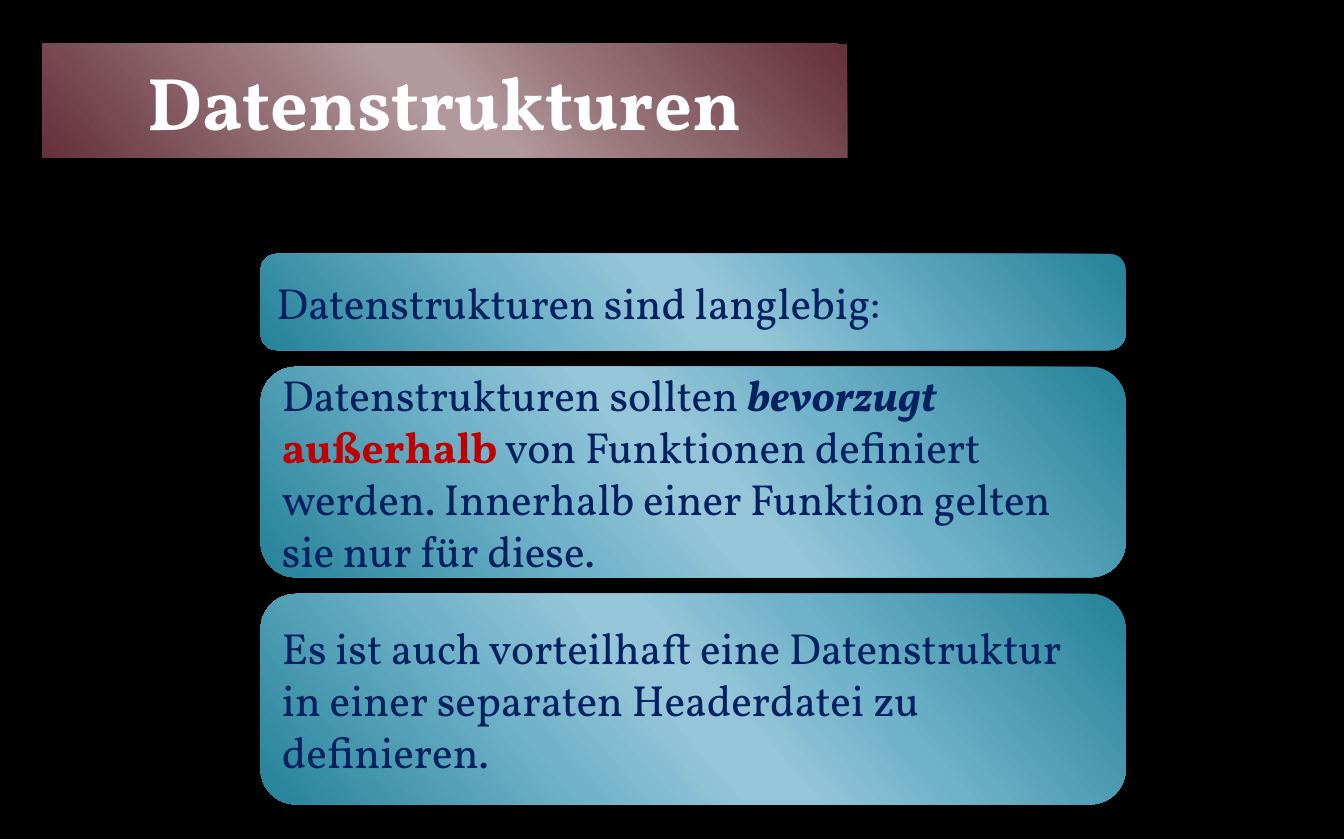
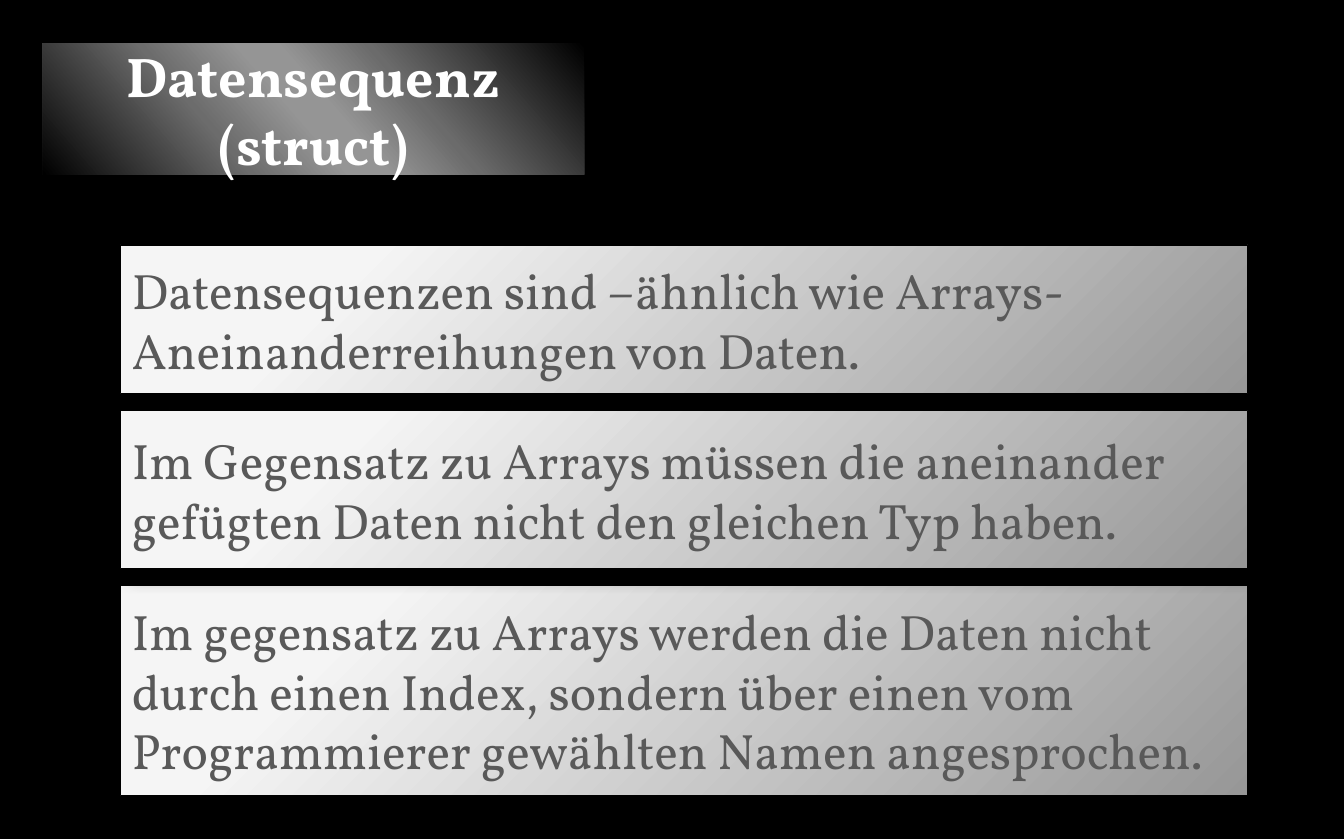
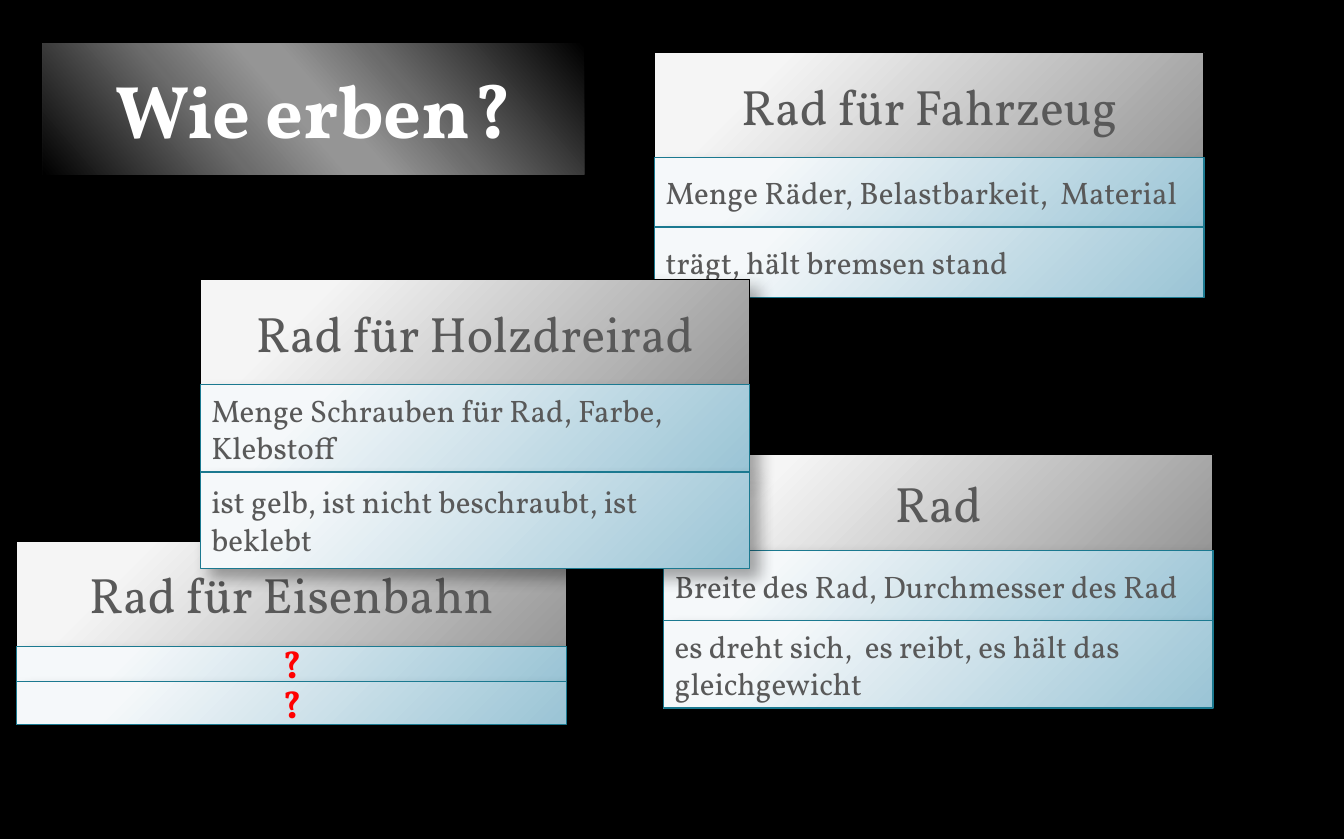
from dataclasses import dataclass

from lxml import etree
from pptx import Presentation
from pptx.dml.color import RGBColor
from pptx.enum.shapes import MSO_SHAPE
from pptx.enum.text import MSO_ANCHOR, MSO_AUTO_SIZE, PP_ALIGN
from pptx.oxml.ns import qn
from pptx.util import Inches, Pt

RECT, ROUND = MSO_SHAPE.RECTANGLE, MSO_SHAPE.ROUNDED_RECTANGLE
LEFT, CENTER = PP_ALIGN.LEFT, PP_ALIGN.CENTER
MIDDLE, NO_FIT = MSO_ANCHOR.MIDDLE, MSO_AUTO_SIZE.NONE
TITLE_ONLY = 5


def band(edge, inner, core, outer):
    """Stops of a diagonal sheen that is lightest in the middle."""
    return [(0, edge), (33, inner), (47, core), (53, core), (68, outer), (100, edge)]


@dataclass(frozen=True)
class Theme:
    font: str = "Vollkorn"
    background: str = "000000"
    white: str = "FFFFFF"
    navy: str = "002060"
    gray: str = "595959"
    accent: str = "C00000"
    alert: str = "FF0000"
    black_line: str = "000000"
    teal_line: str = "1B7990"
    wine: tuple = tuple(band("64303B", "98757B", "B2999D", "99767C"))
    teal: tuple = tuple(band("248299", "70B2C9", "94C5D8", "72B3CA"))
    black: tuple = tuple(band("000000", "6B6B6B", "959595", "6C6C6C"))
    silver: tuple = ((20, "F5F5F5"), (100, "979797"))
    ice: tuple = ((20, "F5F8FA"), (100, "9AC4D5"))
    # opacity %, blur pt, distance pt
    band_shadow: tuple = (26, 15, 18)
    panel_shadow: tuple = (35, 10.2, 8)
    title: int = 48
    title_small: int = 36
    heading: int = 32
    body: int = 28
    mark: int = 24
    detail: int = 20


T = Theme()

# Content
SLIDE_SIZE = (12.01, 7.5)
TITLE_AT = (0.38, 0.39)
WIDE_TITLE, NARROW_TITLE = (7.19, 1.02), (4.84, 1.17)
GAP = 0.15
CARD_WIDTH = 4.91

STRUCTURE_ROWS = [  # height, text
    (0.86, "Datenstrukturen sind langlebig:"),
    (1.88, [("Datenstrukturen sollten ", {}),
            ("bevorzugt ", {"bold": True, "italic": True}),
            ("außerhalb", {"bold": True, "color": T.accent}),
            (" von Funktionen definiert werden. Innerhalb einer Funktion "
             "gelten sie nur für diese.", {})]),
    (1.88, "Es ist auch vorteilhaft eine Datenstruktur in einer separaten "
           "Headerdatei zu definieren."),
]
SEQUENCE_ROWS = [
    (1.33, "Datensequenzen sind –ähnlich wie Arrays- Aneinanderreihungen von Daten."),
    (1.41, "Im Gegensatz zu Arrays müssen die aneinander gefügten Daten nicht "
           "den gleichen Typ haben."),
    (1.88, "Im gegensatz zu Arrays werden die Daten nicht durch einen Index, sondern "
           "über einen vom Programmierer gewählten Namen angesprochen."),
]
DETAIL = dict(size=T.detail, color=T.gray)
MARK = dict(size=T.mark, color=T.alert, bold=True, align=CENTER)
WHEEL_CARDS = [  # left, top, rows from heading down, format of the lower rows
    (0.15, 4.84, [(0.94, "Rad für Eisenbahn"), (0.31, "?"), (0.39, "?")], MARK),
    (5.93, 4.06, [(0.86, "Rad"),
                  (0.63, "Breite des Rad, Durchmesser des Rad"),
                  (0.78, "es dreht sich,  es reibt, es hält das gleichgewicht")], DETAIL),
    (5.85, 0.47, [(0.94, "Rad für Fahrzeug"),
                  (0.62, "Menge Räder, Belastbarkeit,  Material"),
                  (0.63, "trägt, hält bremsen stand")], DETAIL),
    (1.79, 2.5, [(0.94, "Rad für Holzdreirad"),
                 (0.78, "Menge Schrauben für Rad, Farbe, Klebstoff"),
                 (0.86, "ist gelb, ist nicht beschraubt, ist beklebt")], DETAIL),
]


# Formatting
def add_xml(parent, tag, **attrs):
    return etree.SubElement(parent, qn(tag), {k: str(v) for k, v in attrs.items()})


def paint(sp, stops, shadow, line=None):
    """Gradient fill, outline and shadow; bands are linear, panels radial."""
    sp.fill.gradient()
    grad = sp._element.spPr.find(qn("a:gradFill"))
    for child in list(grad):
        grad.remove(child)
    stop_list = add_xml(grad, "a:gsLst")
    for pos, color in stops:
        stop = add_xml(stop_list, "a:gs", pos=pos * 1000)
        add_xml(stop, "a:srgbClr", val=color)
    if line:
        path = add_xml(grad, "a:path", path="circle")
        add_xml(path, "a:fillToRect", l=-15000, t=-15000, r=115000, b=115000)
        sp.line.color.rgb = RGBColor.from_string(line)
        sp.line.width = Pt(0.75)
    else:
        add_xml(grad, "a:lin", ang=139 * 60000, scaled=0)
        sp.line.fill.background()

    opacity, blur, dist = shadow
    sp.shadow.inherit = False
    outer = add_xml(sp._element.spPr.find(qn("a:effectLst")), "a:outerShdw",
                    blurRad=Pt(blur), dist=Pt(dist), dir=45 * 60000,
                    algn="tl", rotWithShape=0)
    add_xml(add_xml(outer, "a:srgbClr", val="000000"), "a:alpha", val=opacity * 1000)


def write(sp, *paragraphs, size, color, bold=False, italic=False, align=LEFT):
    """Each paragraph is a string or a list of (text, changed format) runs."""
    tf = sp.text_frame
    tf.word_wrap, tf.auto_size, tf.vertical_anchor = True, NO_FIT, MIDDLE
    for i, runs in enumerate(paragraphs):
        p = tf.add_paragraph() if i else tf.paragraphs[0]
        p.alignment = align
        for text, changes in [(runs, {})] if isinstance(runs, str) else runs:
            look = {"color": color, "bold": bold, "italic": italic, **changes}
            r = p.add_run()
            r.text = text
            r.font.name, r.font.size = T.font, Pt(size)
            r.font.bold, r.font.italic = look["bold"], look["italic"]
            r.font.color.rgb = RGBColor.from_string(look["color"])


def place(sp, left, top, width, height):
    sp.left, sp.top, sp.width, sp.height = map(Inches, (left, top, width, height))


# Slide parts
def titled_slide(prs, *lines, box, stops, size=T.title):
    s = prs.slides.add_slide(prs.slide_layouts[TITLE_ONLY])
    sp = s.shapes.title
    place(sp, *TITLE_AT, *box)
    geometry = add_xml(sp._element.spPr, "a:prstGeom", prst="roundRect")
    add_xml(geometry, "a:avLst")
    paint(sp, stops, T.band_shadow)
    write(sp, *lines, size=size, color=T.white, bold=True, align=CENTER)
    return s


def add_box(s, kind, at, text, stops, shadow, line=None, **look):
    sp = s.shapes.add_shape(kind, *map(Inches, at))
    paint(sp, stops, shadow, line)
    write(sp, text, **look)


def row_boxes(left, top, width, rows, gap=0):
    boxes = []
    for height, text in rows:
        boxes.append(((left, top, width, height), text))
        top += height + gap
    return boxes


def add_panel(s, at, text, **look):
    add_box(s, RECT, at, text, T.silver, T.panel_shadow, T.black_line,
            size=T.heading, color=T.gray, **look)


def add_card(s, left, top, rows, look):
    heading, *details = row_boxes(left, top, CARD_WIDTH, rows)
    add_panel(s, *heading, align=CENTER)
    for at, text in details:
        add_box(s, RECT, at, text, T.ice, T.panel_shadow, T.teal_line, **look)


def main():
    prs = Presentation()
    prs.slide_width, prs.slide_height = map(Inches, SLIDE_SIZE)
    back = prs.slide_master.background.fill
    back.solid()
    back.fore_color.rgb = RGBColor.from_string(T.background)

    # Data structures
    s = titled_slide(prs, "Datenstrukturen", box=WIDE_TITLE, stops=T.wine)
    for at, text in row_boxes(2.33, 2.27, 7.73, STRUCTURE_ROWS, GAP):
        add_box(s, ROUND, at, text, T.teal, T.band_shadow, size=T.body, color=T.navy)

    # Data sequence: the last panel lies behind the others
    s = titled_slide(prs, "Datensequenz", "(struct)", box=NARROW_TITLE,
                     stops=T.black, size=T.title_small)
    first, second, last = row_boxes(1.08, 2.19, 10.07, SEQUENCE_ROWS, GAP)
    for at, text in (last, first, second):
        add_panel(s, at, text)

    # Inheritance: class cards from back to front
    s = titled_slide(prs, "Wie erben?", box=NARROW_TITLE, stops=T.black)
    for card in WHEEL_CARDS:
        add_card(s, *card)

    prs.save("out.pptx")


if __name__ == "__main__":
    main()
